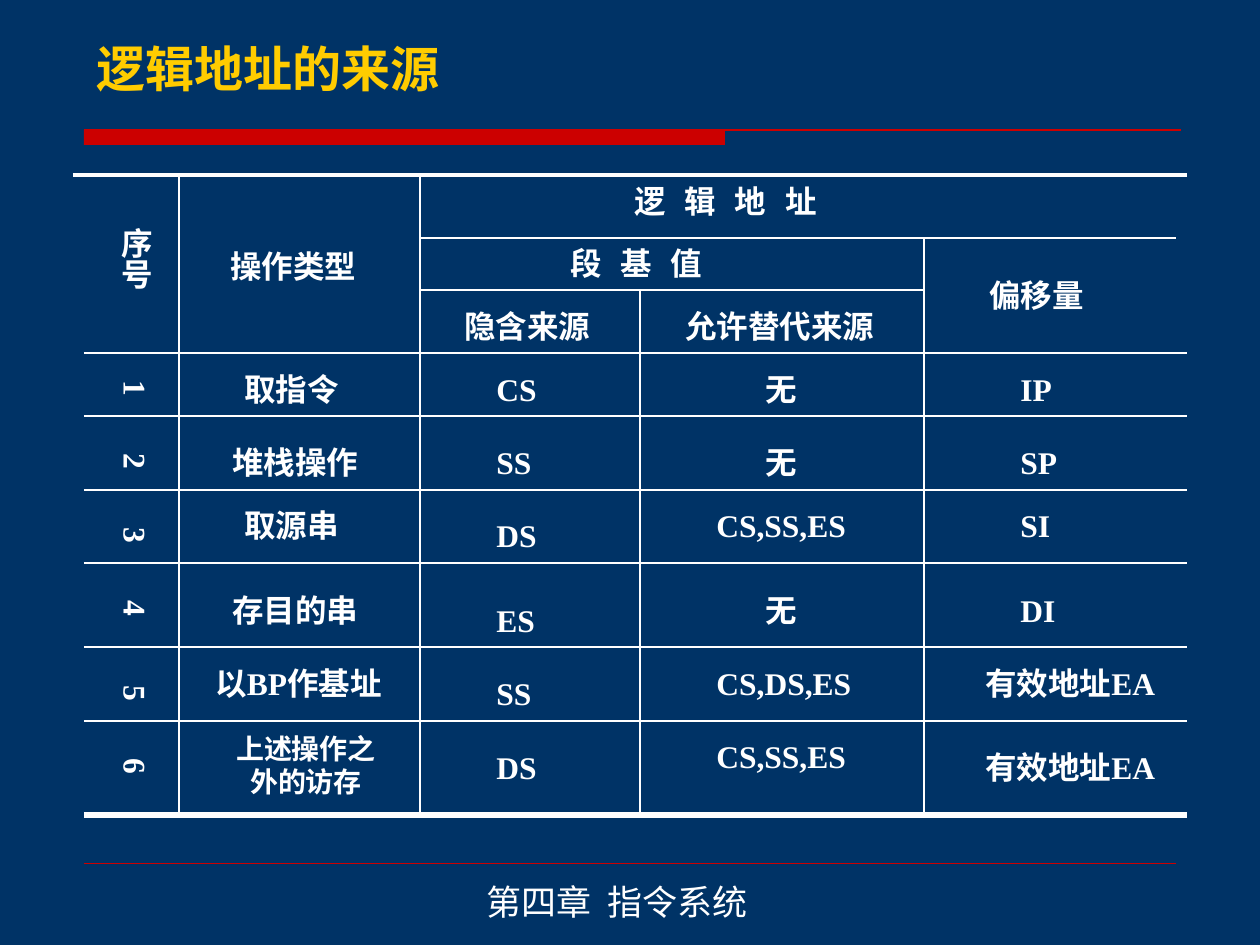
from pptx import Presentation
from pptx.dml.color import RGBColor
from pptx.enum.shapes import MSO_CONNECTOR, MSO_SHAPE
from pptx.enum.text import MSO_ANCHOR, MSO_AUTO_SIZE, PP_ALIGN
from pptx.oxml.ns import qn
from pptx.util import Inches, Pt
from lxml import etree

NAVY = RGBColor(0x00, 0x33, 0x66)
RED = RGBColor(0xCC, 0x00, 0x00)
GOLD = RGBColor(0xFF, 0xCC, 0x00)
WHITE = RGBColor(0xFF, 0xFF, 0xFF)

STRAIGHT = MSO_CONNECTOR.STRAIGHT
RECTANGLE = MSO_SHAPE.RECTANGLE
LEFT, CENTER = PP_ALIGN.LEFT, PP_ALIGN.CENTER
BOTTOM = MSO_ANCHOR.BOTTOM
FIT_SHAPE = MSO_AUTO_SIZE.SHAPE_TO_FIT_TEXT

TITLE_FONT, TABLE_FONT, FOOTER_FONT = "DejaVu Sans", "Times New Roman", "Noto Sans CJK JP"
EAST_ASIAN_FONTS = {TABLE_FONT: TITLE_FONT}
TITLE_ONLY_LAYOUT = 5
EMU_PER_PX = Inches(1) / 126
LINE_HEIGHT = 50
LABEL_SLACK = 8

# Left edges and tops of the table's rules
LEFT_EDGE, TYPE_X, IMPLIED_X, ALTERNATIVE_X, OFFSET_X, RIGHT_EDGE = 84, 179, 420, 640, 924, 1187
TOP_EDGE, BASE_Y, SOURCE_Y, BOTTOM_EDGE = 175, 238, 290, 815
ROW_LINES = (353, 416, 490, 563, 647, 721)

# text, left, top, width, letter spacing in points
HEADINGS = (
    ("操作类型", 218, 241, 151, 0),
    ("逻 辑 地 址", 622, 176, 204, 2.25),
    ("段 基 值", 558, 238, 157, 2.25),
    ("隐含来源", 452, 301, 151, 0),
    ("允许替代来源", 673, 301, 214, 0),
    ("偏移量", 977, 270, 120, 0),
)

# Each column: tops of its entries, then (text, left, width) of each
COLUMNS = (
    ((364, 437, 500, 585, 658),
     (("取指令", 232, 120), ("堆栈操作", 220, 151), ("取源串", 232, 120),
      ("存目的串", 220, 151), ("以BP作基址", 203, 207))),
    ((364, 437, 510, 595, 668, 742),
     (("CS", 484, 66), ("SS", 484, 60), ("DS", 484, 66),
      ("ES", 484, 63), ("SS", 484, 60), ("DS", 484, 66))),
    ((364, 437, 500, 585, 658, 731),
     (("无", 753, 57), ("无", 753, 57), ("CS,SS,ES", 704, 155),
      ("无", 753, 57), ("CS,DS,ES", 704, 160), ("CS,SS,ES", 704, 155))),
    ((364, 437, 500, 585, 658, 742),
     (("IP", 1008, 57), ("SP", 1008, 62), ("SI", 1008, 54),
      ("DI", 1008, 60), ("有效地址EA", 973, 202), ("有效地址EA", 973, 202))),
)
NUMBER_TOPS = (368, 441, 515, 588, 673, 746)


def px(length):
    return round(length * EMU_PER_PX)


class SlideBuilder:
    def __init__(self, presentation):
        self.slide = presentation.slides.add_slide(presentation.slide_layouts[TITLE_ONLY_LAYOUT])
        self.slide.background.fill.solid()
        self.slide.background.fill.fore_color.rgb = NAVY

    def add_run(self, paragraph, text, size=18, font=TABLE_FONT, color=WHITE, bold=True, spacing=0):
        """Add one run; spacing is the extra letter spacing in points."""
        run = paragraph.add_run()
        run.text = text
        run.font.size, run.font.bold, run.font.name = Pt(size), bold, font
        run.font.color.rgb = color
        properties = run.font._element
        etree.SubElement(properties, qn("a:ea")).set("typeface", EAST_ASIAN_FONTS.get(font, font))
        if spacing:
            properties.set("spc", str(round(spacing * 100)))

    def title(self, text, left, top, width, height):
        shape = self.slide.shapes.title
        shape.left, shape.top, shape.width, shape.height = map(px, (left, top, width, height))
        shape.text_frame.vertical_anchor = BOTTOM
        paragraph = shape.text_frame.paragraphs[0]
        paragraph.alignment = LEFT
        self.add_run(paragraph, text, 28, TITLE_FONT, GOLD)

    def bar(self, left, top, width, height, color):
        shape = self.slide.shapes.add_shape(RECTANGLE, *map(px, (left, top, width, height)))
        shape.shadow.inherit = False
        shape.fill.solid()
        shape.fill.fore_color.rgb = color
        shape.line.fill.background()

    def rule(self, x1, y1, x2, y2, weight=0.75, color=WHITE):
        connector = self.slide.shapes.add_connector(STRAIGHT, *map(px, (x1, y1, x2, y2)))
        connector.line.color.rgb = color
        connector.line.width = Pt(weight)
        etree.SubElement(connector._element.spPr, qn("a:effectLst"))

    def text_box(self, left, top, width, height=LINE_HEIGHT, wrap=False):
        shape = self.slide.shapes.add_textbox(*map(px, (left, top, width, height)))
        shape.text_frame.word_wrap = wrap
        shape.text_frame.auto_size = FIT_SHAPE
        return shape.text_frame

    def label(self, text, left, top, width, spacing=0):
        frame = self.text_box(left, top, width + LABEL_SLACK)
        self.add_run(frame.paragraphs[0], text, spacing=spacing)

    def centered_lines(self, lines, left, top, width, height, size):
        frame = self.text_box(left, top, width, height, wrap=True)
        for index, line in enumerate(lines):
            paragraph = frame.add_paragraph() if index else frame.paragraphs[0]
            paragraph.alignment = CENTER
            self.add_run(paragraph, line, size)

    def vertical_label(self, text, left, top, height):
        frame = self.text_box(left, top, 63, height)
        frame.margin_left = frame.margin_right = Inches(0.05)
        frame.margin_top = frame.margin_bottom = Inches(0.1)
        frame._txBody.bodyPr.set("vert", "eaVert")
        self.add_run(frame.paragraphs[0], text)

    def footer(self, chapter, name, left, top, width, height):
        paragraph = self.text_box(left, top, width, height).paragraphs[0]
        paragraph.alignment = CENTER
        for text, spacing in ((chapter, 0), (" ", 4.5), (name, 0)):
            self.add_run(paragraph, text, 20, FOOTER_FONT, bold=False, spacing=spacing)


def draw_table_rules(builder):
    builder.rule(73, TOP_EDGE, RIGHT_EDGE, TOP_EDGE, 2.25)
    for y in ROW_LINES:
        builder.rule(LEFT_EDGE, y, RIGHT_EDGE, y)
    builder.rule(LEFT_EDGE, BOTTOM_EDGE, RIGHT_EDGE, BOTTOM_EDGE, 3)
    for x, top in ((TYPE_X, TOP_EDGE), (IMPLIED_X, TOP_EDGE),
                   (OFFSET_X, BASE_Y), (ALTERNATIVE_X, SOURCE_Y)):
        builder.rule(x, top, x, BOTTOM_EDGE)
    builder.rule(IMPLIED_X, BASE_Y, 1176, BASE_Y)
    builder.rule(IMPLIED_X, SOURCE_Y, OFFSET_X, SOURCE_Y)


def draw_table_text(builder):
    builder.vertical_label("序号", 98, 215, 86)
    for number, top in enumerate(NUMBER_TOPS, 1):
        builder.vertical_label(str(number), 94, top, 29)
    for text, left, top, width, spacing in HEADINGS:
        builder.label(text, left, top, width, spacing)
    for tops, entries in COLUMNS:
        for top, (text, left, width) in zip(tops, entries):
            builder.label(text, left, top, width)
    builder.centered_lines(("上述操作之", "外的访存"), 168, 725, 276, 81, 16)


def main():
    presentation = Presentation()
    presentation.slide_width, presentation.slide_height = Inches(10), Inches(7.5)
    builder = SlideBuilder(presentation)
    builder.title("逻辑地址的来源", 84, 36, 437, 68)
    builder.bar(LEFT_EDGE, 130, 641, 15, RED)
    builder.rule(LEFT_EDGE, 130, 1181, 130, color=RED)
    builder.rule(LEFT_EDGE, 863, 1176, 863, 0.25, RED)
    builder.footer("第四章", "指令系统", 474, 874, 286, 55)
    draw_table_rules(builder)
    draw_table_text(builder)
    presentation.save("out.pptx")


if __name__ == "__main__":
    main()
